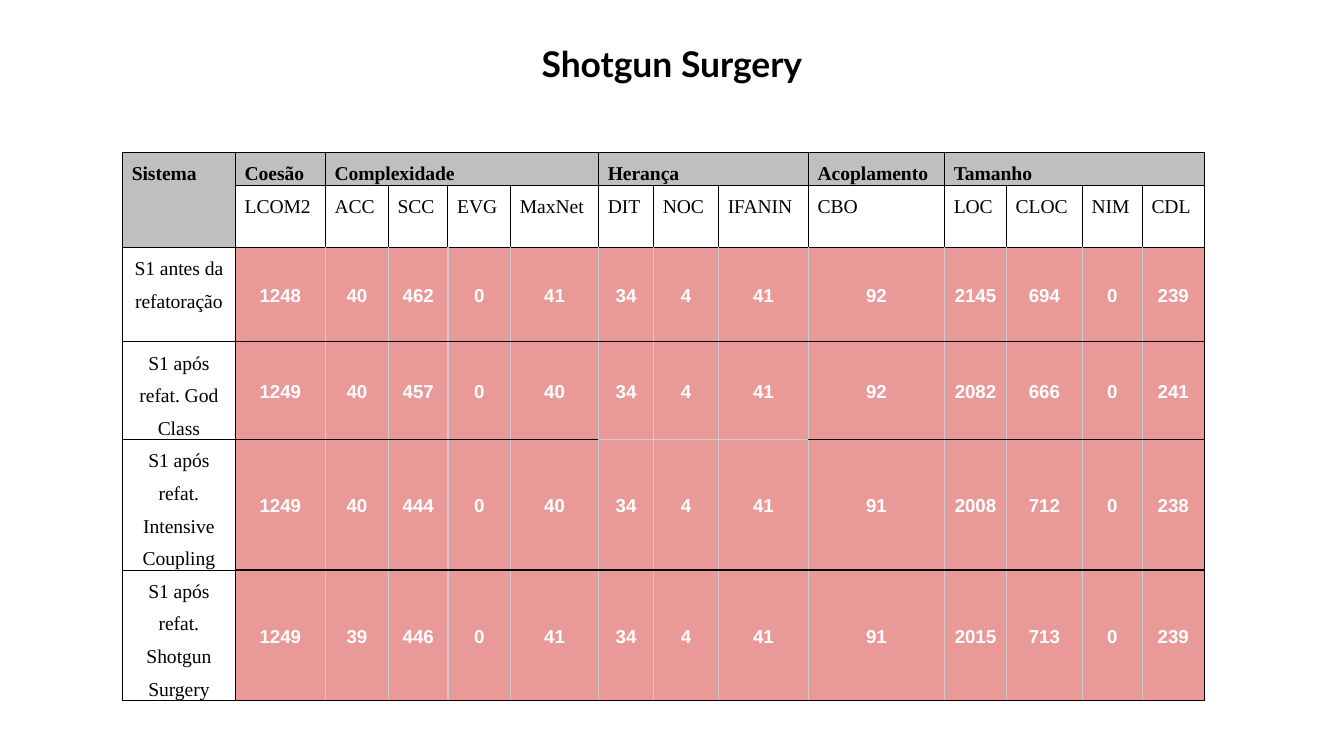
from dataclasses import dataclass
from lxml.etree import SubElement
from pptx import Presentation
from pptx.dml.color import RGBColor
from pptx.enum.text import MSO_ANCHOR, PP_ALIGN
from pptx.oxml.ns import qn
from pptx.util import Pt


@dataclass(frozen=True)
class Theme:
    black: str = "000000"
    white: str = "FFFFFF"
    header_gray: str = "BFBFBF"
    grid_gray: str = "CCCCCC"
    value_red: str = "EA9999"
    title_font: str = "Lato"
    label_font: str = "Times New Roman"
    value_font: str = "Arial"
    title_size: float = 19
    label_size: float = 10.5
    value_size: float = 10
    thin: float = 0.5
    medium: float = 0.75


@dataclass(frozen=True)
class CellStyle:
    font: str
    size: float
    color: str
    bold: bool
    alignment: PP_ALIGN
    anchor: MSO_ANCHOR
    line_spacing: float
    margin_x: float
    margin_y: float
    fill: str | None = None


class SlideBuilder:
    def __init__(self, slide, theme):
        self.slide = slide
        self.theme = theme

    def format_runs(self, paragraph, font, size, color, bold):
        for run in paragraph.runs:
            run.font.name = font
            run.font.size = Pt(size)
            run.font.bold = bold
            run.font.color.rgb = RGBColor.from_string(color)

    def title(self, text, left, top, width, height):
        shape = self.slide.shapes.title
        shape.left, shape.top = Pt(left), Pt(top)
        shape.width, shape.height = Pt(width), Pt(height)
        text_frame = shape.text_frame
        text_frame.text = text
        text_frame.word_wrap = True
        text_frame.vertical_anchor = MSO_ANCHOR.MIDDLE
        text_frame.margin_left = text_frame.margin_right = Pt(7.2)
        text_frame.margin_top = text_frame.margin_bottom = Pt(7.2)
        paragraph = text_frame.paragraphs[0]
        paragraph.alignment = PP_ALIGN.CENTER
        theme = self.theme
        self.format_runs(paragraph, theme.title_font, theme.title_size, theme.black, True)

    def table(self, left, top, widths, heights):
        frame = self.slide.shapes.add_table(
            len(heights), len(widths), Pt(left), Pt(top), Pt(sum(widths)), Pt(sum(heights)))
        table = frame.table
        table.first_row = False
        table.horz_banding = False
        for column, width in zip(table.columns, widths):
            column.width = Pt(width)
        for row, height in zip(table.rows, heights):
            row.height = Pt(height)
        return table

    def borders(self, cell, sides):
        properties = cell._tc.get_or_add_tcPr()
        for side, (color, width) in zip("LRTB", sides):
            line = SubElement(properties, qn(f"a:ln{side}"), w=str(Pt(width)))
            fill = SubElement(line, qn("a:solidFill"))
            SubElement(fill, qn("a:srgbClr"), val=color)

    def cell(self, cell, text, style, sides):
        self.borders(cell, sides)
        if style.fill:
            cell.fill.solid()
            cell.fill.fore_color.rgb = RGBColor.from_string(style.fill)
        else:
            cell.fill.background()
        cell.margin_left = cell.margin_right = Pt(style.margin_x)
        cell.margin_top = cell.margin_bottom = Pt(style.margin_y)
        cell.vertical_anchor = style.anchor
        if text:
            cell.text_frame.text = text
            paragraph = cell.text_frame.paragraphs[0]
            paragraph.alignment = style.alignment
            paragraph.line_spacing = style.line_spacing
            self.format_runs(paragraph, style.font, style.size, style.color, style.bold)


GROUPS = [("Coesão", 1), ("Complexidade", 4), ("Herança", 3), ("Acoplamento", 1), ("Tamanho", 4)]
METRICS = ["LCOM2", "ACC", "SCC", "EVG", "MaxNet", "DIT", "NOC", "IFANIN", "CBO",
           "LOC", "CLOC", "NIM", "CDL"]
SYSTEMS = [
    ("S1 antes da refatoração", [1248, 40, 462, 0, 41, 34, 4, 41, 92, 2145, 694, 0, 239]),
    ("S1 após refat. God Class", [1249, 40, 457, 0, 40, 34, 4, 41, 92, 2082, 666, 0, 241]),
    ("S1 após refat. Intensive Coupling", [1249, 40, 444, 0, 40, 34, 4, 41, 91, 2008, 712, 0, 238]),
    ("S1 após refat. Shotgun Surgery", [1249, 39, 446, 0, 41, 34, 4, 41, 91, 2015, 713, 0, 239]),
]
COLUMN_WIDTHS = [60.5, 48.2, 33.8, 31.9, 33.6, 47.1, 29.5, 34.8, 48.2, 72.9, 33.2, 40.7, 32.1, 33.2]
ROW_HEIGHTS = [8, 33.6, 50.4, 50.4, 67, 67]
INHERITANCE_COLUMNS = range(6, 9)
GOD_CLASS_ROW = 3


def main():
    presentation = Presentation()
    presentation.slide_width, presentation.slide_height = Pt(720), Pt(405)
    slide = presentation.slides.add_slide(presentation.slide_layouts[5])
    theme = Theme()
    builder = SlideBuilder(slide, theme)
    builder.title("Shotgun Surgery", 0, 15.1, 720, 37.4)
    table = builder.table(65.6, 81.6, COLUMN_WIDTHS, ROW_HEIGHTS)

    label = (theme.label_font, theme.label_size, theme.black)
    header = CellStyle(*label, True, PP_ALIGN.JUSTIFY, MSO_ANCHOR.TOP, 1.5, 5, 0, theme.header_gray)
    metric = CellStyle(*label, False, PP_ALIGN.JUSTIFY, MSO_ANCHOR.TOP, 1.5, 5, 0)
    system = CellStyle(*label, False, PP_ALIGN.CENTER, MSO_ANCHOR.TOP, 1.5, 5, 0)
    value = CellStyle(theme.value_font, theme.value_size, theme.white, True, PP_ALIGN.CENTER,
                      MSO_ANCHOR.MIDDLE, 1.15, 2, 2, theme.value_red)
    thin = (theme.black, theme.thin)
    medium = (theme.black, theme.medium)
    grid = (theme.grid_gray, theme.medium)

    group_titles = ["Sistema"]
    table.cell(0, 0).merge(table.cell(1, 0))
    for name, span in GROUPS:
        first = len(group_titles)
        if span > 1:
            table.cell(0, first).merge(table.cell(0, first + span - 1))
        group_titles += [name] + [""] * (span - 1)
    for column, name in enumerate(group_titles):
        builder.cell(table.cell(0, column), name, header, [thin] * 4)
    builder.cell(table.cell(1, 0), "", header, [thin] * 4)
    for column, name in enumerate(METRICS, 1):
        builder.cell(table.cell(1, column), name, metric, [thin, thin, thin, medium])

    for row, (name, values) in enumerate(SYSTEMS, 2):
        builder.cell(table.cell(row, 0), name, system, [thin, medium, thin, thin])
        for column, number in enumerate(values, 1):
            inherited = column in INHERITANCE_COLUMNS
            sides = [
                medium if column == 1 else grid,
                medium if column == len(values) else grid,
                grid if inherited and row == GOD_CLASS_ROW + 1 else medium,
                grid if inherited and row == GOD_CLASS_ROW else medium,
            ]
            builder.cell(table.cell(row, column), str(number), value, sides)

    presentation.save("out.pptx")


if __name__ == "__main__":
    main()
